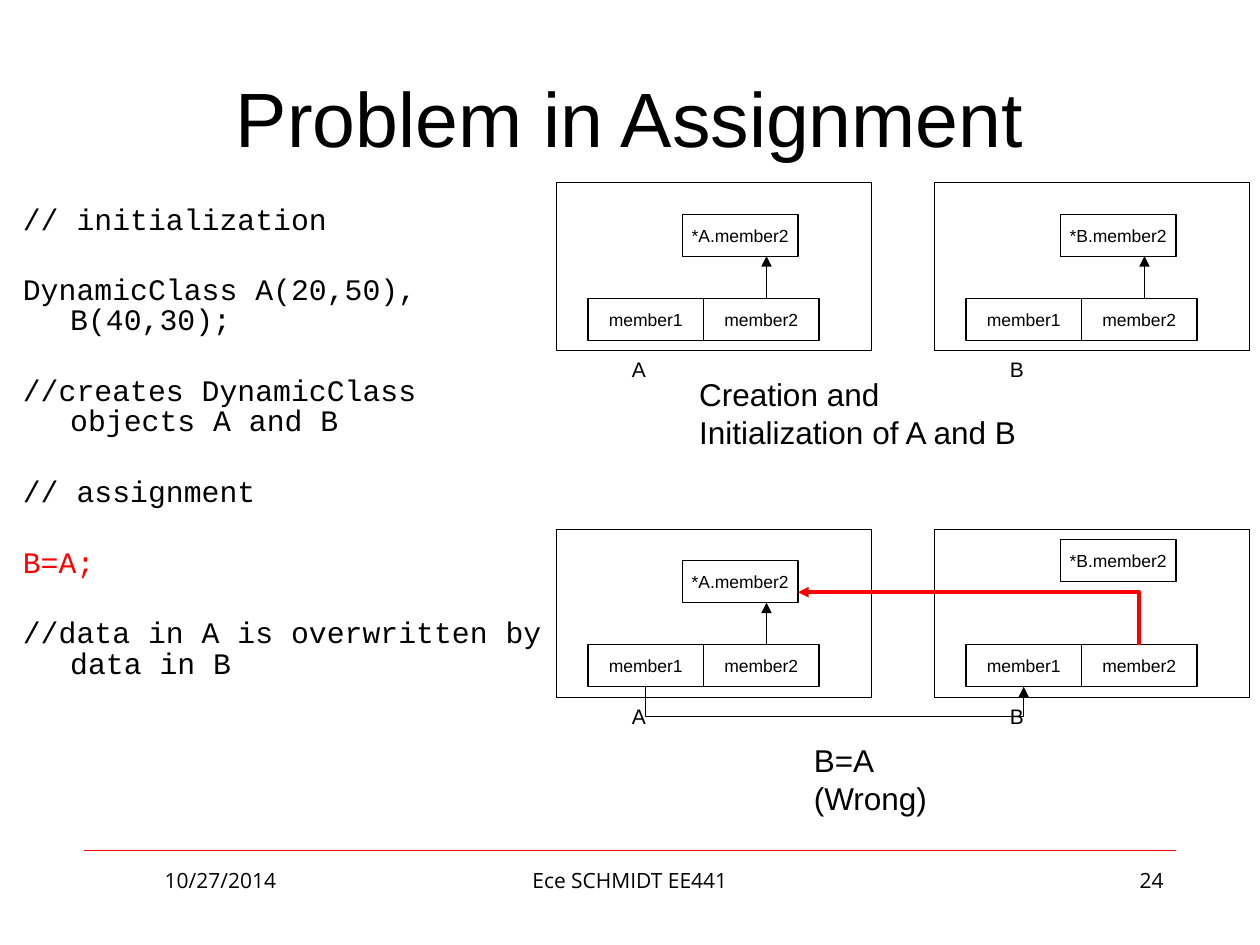
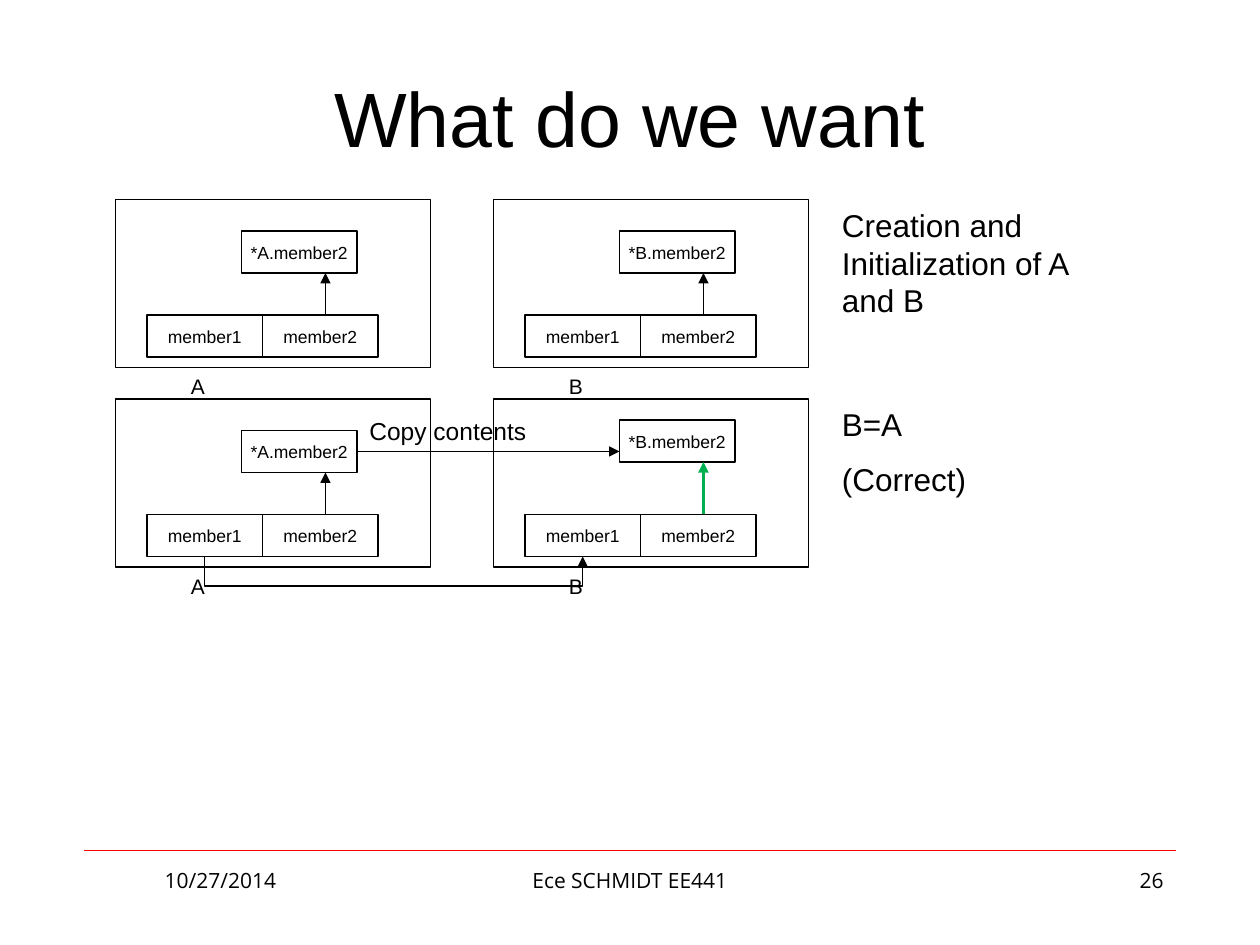
from pptx import Presentation
from pptx.dml.color import RGBColor
from pptx.enum.shapes import MSO_CONNECTOR, MSO_SHAPE
from pptx.enum.text import MSO_ANCHOR, PP_ALIGN
from pptx.oxml.ns import qn
from pptx.util import Pt
from lxml import etree

RECTANGLE = MSO_SHAPE.RECTANGLE
STRAIGHT, ELBOW = MSO_CONNECTOR.STRAIGHT, MSO_CONNECTOR.ELBOW
MIDDLE = MSO_ANCHOR.MIDDLE
LEFT, CENTER, RIGHT = PP_ALIGN.LEFT, PP_ALIGN.CENTER, PP_ALIGN.RIGHT

COLORS = {"ink": "000000", "red": "FF0000", "green": "00B050"}
BODY_FONT, CODE_FONT, FOOTER_FONT = "Arial", "Courier New", "Open Sans"
THIN, THICK, HAIRLINE = 0.75, 2, 0.25

# Content: text, colour of each code statement
CODE = [
    ("// initialization", "ink"),
    ("DynamicClass A(20,50), B(40,30);", "ink"),
    ("//creates DynamicClass objects A and B", "ink"),
    ("// assignment", "ink"),
    ("B=A;", "red"),
    ("//data in A is overwritten by data in B", "ink"),
]
CREATION = "Creation and Initialization of A and B"

# Rows hold the top of the frames, the drop of B's data box and the step shown.
# Captions hold paragraphs and their box.
SLIDES = [
    {"title": "Problem in Assignment", "number": "24", "left": 318, "code": CODE,
     "rows": [(104.4, 18, "created"), (302.4, 6, "wrong")],
     "captions": [([CREATION], (392.4, 211, 204.5, 51.1)),
                  (["B=A (Wrong)"], (458, 419.8, 84.2, 50.4))]},
    {"title": "What do we want", "number": "26", "left": 66, "code": [],
     "rows": [(114, 18, "created"), (228, 12, "correct")],
     "captions": [([CREATION], (474, 114, 144, 72.7)),
                  (["B=A", "(Correct)"], (474, 228, 114, 61.2))]},
]
FOOTERS = [(48, 156, CENTER), (246, 228, CENTER), (516, 156, RIGHT)]

# Geometry of one object diagram, relative to its frame
FRAME_W, FRAME_H, FRAME_STEP = 180, 96, 216
CELL_W, CELL_H = 66, 24
DATA_X, DATA_Y = 72, 18
MEMBER_X, MEMBER_Y = 18, 66
POINTER_X = 120
LABEL_X = 36
LOOP_DEPTH, LOOP_FLAT = 18, 0.12


def style_runs(paragraph, size, font=BODY_FONT, color="ink"):
    """Format all runs of a paragraph."""
    for run in paragraph.runs:
        run.font.size = Pt(size)
        run.font.name = font
        run.font.color.rgb = RGBColor.from_string(COLORS[color])


def add_text(slide, box, lines, size, font=BODY_FONT, align=LEFT, gap=0):
    """Add a wrapping text box with one paragraph per line."""
    frame = slide.shapes.add_textbox(*map(Pt, box)).text_frame
    frame.word_wrap = True
    frame.text = "\n".join(lines)
    for index, paragraph in enumerate(frame.paragraphs):
        paragraph.alignment = align
        paragraph.space_before = Pt(gap if index else 0)
        style_runs(paragraph, size, font)
    return frame


def add_box(slide, box, label=""):
    """Add an unfilled outlined rectangle, with a centred label if given."""
    rect = slide.shapes.add_shape(RECTANGLE, *map(Pt, box))
    rect.shadow.inherit = False
    rect.fill.background()
    rect.line.color.rgb = RGBColor.from_string(COLORS["ink"])
    rect.line.width = Pt(THIN)
    if label:
        frame = rect.text_frame
        frame.word_wrap = False
        frame.vertical_anchor = MIDDLE
        frame.text = label
        frame.paragraphs[0].alignment = CENTER
        style_runs(frame.paragraphs[0], 10)


def add_line(slide, start, end, color="ink", width=THIN, arrow=True, kind=STRAIGHT):
    """Add a connector, by default with an arrowhead at its end."""
    line = slide.shapes.add_connector(kind, *map(Pt, (*start, *end)))
    line.line.color.rgb = RGBColor.from_string(COLORS[color])
    line.line.width = Pt(width)
    properties = line._element.spPr
    if arrow:
        outline = properties.find(qn("a:ln"))
        etree.SubElement(outline, qn("a:tailEnd"), type="triangle")
    etree.SubElement(properties, qn("a:effectLst"))
    return properties


def add_elbow(slide, center, depth, span, preset, quarter_turns, bend=None, **look):
    """Add a bent arrow that is mirrored and then turned about its centre."""
    x, y = center
    properties = add_line(slide, (x + depth / 2, y - span / 2),
                          (x - depth / 2, y + span / 2), kind=ELBOW, **look)
    properties.find(qn("a:xfrm")).set("rot", str(quarter_turns * 5400000))
    geometry = properties.find(qn("a:prstGeom"))
    geometry.set("prst", preset)
    if bend:
        guides = geometry.find(qn("a:avLst"))
        etree.SubElement(guides, qn("a:gd"), name="adj1",
                         fmla=f"val {round(bend * 100000)}")


def add_object(slide, name, left, top, data_y):
    """Draw one object: frame, data box, two members and its name."""
    add_box(slide, (left, top, FRAME_W, FRAME_H))
    add_box(slide, (left + DATA_X, top + data_y, CELL_W, CELL_H), f"*{name}.member2")
    for index, member in enumerate(("member1", "member2")):
        add_box(slide, (left + MEMBER_X + index * CELL_W, top + MEMBER_Y,
                        CELL_W, CELL_H), member)
    add_text(slide, (left + LABEL_X, top + FRAME_H, 54, 21.6), [name], 12)


def add_pointer(slide, left, top, data_y, **look):
    """Draw the arrow from member2 up to the object's own data."""
    x = left + POINTER_X
    add_line(slide, (x, top + MEMBER_Y), (x, top + data_y + CELL_H), **look)


def add_row(slide, left, top, data_y, step):
    """Draw objects A and B side by side with the arrows of one step."""
    b_left = left + FRAME_STEP
    add_object(slide, "A", left, top, DATA_Y)
    add_object(slide, "B", b_left, top, data_y)
    add_pointer(slide, left, top, DATA_Y)
    if step == "created":
        add_pointer(slide, b_left, top, data_y)
        return

    member1_x = left + MEMBER_X + CELL_W / 2
    add_elbow(slide, (member1_x + FRAME_STEP / 2, top + MEMBER_Y + CELL_H),
              LOOP_FLAT, FRAME_STEP, "bentConnector3", 3, LOOP_DEPTH / LOOP_FLAT)
    data_right = left + DATA_X + CELL_W
    if step == "wrong":
        member2_x = b_left + MEMBER_X + CELL_W * 1.5
        target_y = top + DATA_Y + CELL_H * 0.75
        source_y = top + MEMBER_Y
        add_elbow(slide, ((data_right + member2_x) / 2, (target_y + source_y) / 2),
                  source_y - target_y, member2_x - data_right,
                  "bentConnector2", 1, color="red", width=THICK)
    else:
        add_pointer(slide, b_left, top, data_y, color="green", width=THICK)
        copy_y = top + DATA_Y + CELL_H / 2
        add_line(slide, (data_right, copy_y), (b_left + DATA_X, copy_y))
        add_text(slide, (data_right, copy_y - 24, 144, 24), ["Copy contents"], 14)


def add_code(slide, statements):
    """Add the code listing with hanging indents."""
    frame = add_text(slide, (6, 114, 318, 356.4), [text for text, _ in statements],
                     17, CODE_FONT, gap=23)
    frame.paragraphs[0].space_before = Pt(3)
    for paragraph, (_, color) in zip(frame.paragraphs, statements):
        paragraph.line_spacing = 0.85
        style_runs(paragraph, 17, CODE_FONT, color)
        indents = paragraph._p.get_or_add_pPr()
        indents.set("marL", str(Pt(27)))
        indents.set("indent", str(-Pt(27)))


def add_base(deck, title, number):
    """Add a slide with its title, footer rule and footers."""
    slide = deck.slides.add_slide(deck.slide_layouts[5])
    heading = slide.shapes.title
    heading.left, heading.top, heading.width, heading.height = map(
        Pt, (36, 21.6, 648, 90))
    heading.text_frame.text = title
    heading.text_frame.vertical_anchor = MIDDLE
    heading.text_frame.paragraphs[0].alignment = CENTER
    style_runs(heading.text_frame.paragraphs[0], 44)
    add_line(slide, (48, 486), (672, 486), "red", HAIRLINE, arrow=False)
    for text, (left, width, align) in zip(
            ("10/27/2014", "Ece SCHMIDT EE441", number), FOOTERS):
        add_text(slide, (left, 492, width, 37.5), [text], 12, FOOTER_FONT, align)
    return slide


deck = Presentation()
deck.slide_width, deck.slide_height = Pt(720), Pt(540)
for content in SLIDES:
    slide = add_base(deck, content["title"], content["number"])
    if content["code"]:
        add_code(slide, content["code"])
    for row in content["rows"]:
        add_row(slide, content["left"], *row)
    for lines, box in content["captions"]:
        add_text(slide, box, lines, 18, gap=10)
deck.save("out.pptx")
